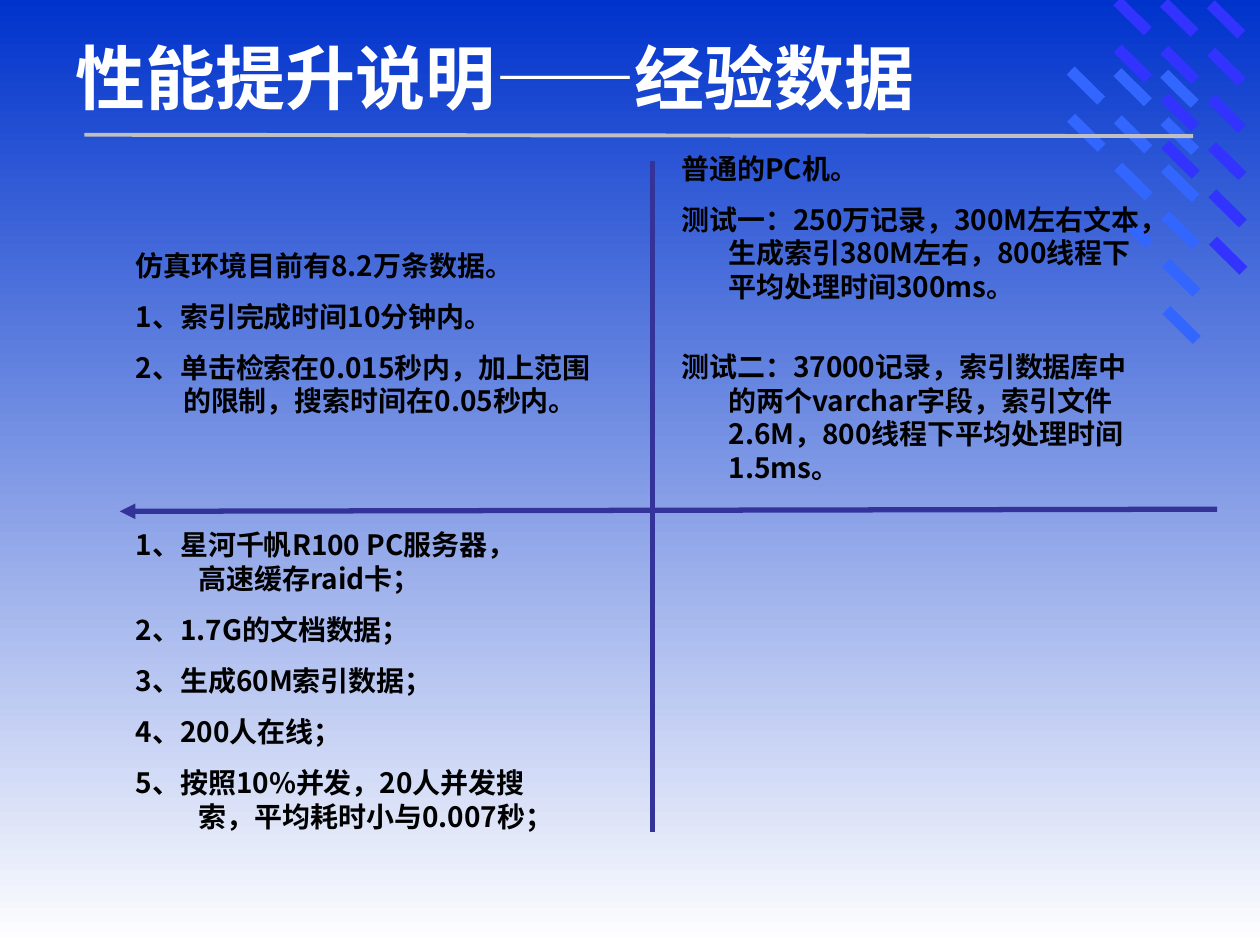
from lxml.etree import SubElement
from pptx import Presentation
from pptx.dml.color import RGBColor
from pptx.enum.shapes import MSO_CONNECTOR, MSO_SHAPE
from pptx.enum.text import MSO_ANCHOR, MSO_AUTO_SIZE, PP_ALIGN
from pptx.oxml.ns import qn
from pptx.util import Pt

BLACK = RGBColor(0, 0, 0)
WHITE = RGBColor(0xFF, 0xFF, 0xFF)
BLUE = RGBColor(0x00, 0x33, 0xCC)
VIOLET = RGBColor(0x33, 0x33, 0xFF)
AZURE = RGBColor(0x33, 0x66, 0xFF)
NAVY = RGBColor(0x33, 0x33, 0x99)
SILVER = RGBColor(0xC0, 0xC0, 0xC0)

SANS = "Noto Sans CJK SC"
SERIF = "Times New Roman"

SIM = [
    "仿真环境目前有8.2万条数据。",
    "1、索引完成时间10分钟内。",
    "2、单击检索在0.015秒内，加上范围的限制，搜索时间在0.05秒内。",
]
SERVER = [
    "1、星河千帆R100 PC服务器，高速缓存raid卡；",
    "2、1.7G的文档数据；",
    "3、生成60M索引数据；",
    "4、200人在线；",
    "5、按照10%并发，20人并发搜索，平均耗时小与0.007秒；",
]
DESKTOP = [
    "普通的PC机。",
    "测试一：250万记录，300M左右文本，生成索引380M左右，800线程下平均处理时间300ms。",
    "测试二：37000记录，索引数据库中的两个varchar字段，索引文件2.6M，800线程下平均处理时间1.5ms。",
]


def set_back(slide):
    fill = slide.background.fill
    fill.gradient()
    fill.gradient_angle = 270
    for stop, color, pos in zip(fill.gradient_stops, (BLUE, WHITE), (0, 1)):
        stop.color.rgb = color
        stop.position = pos


def add_bars(slide, left, top, color):
    """Draw three slightly tilted columns of slanted bars, going leftward."""
    for col, count in enumerate((6, 4, 2)):
        for row in range(count):
            x = left - 26.7 * col + 0.25 * row
            y = top + 27 * row - 0.9 * col
            bar = slide.shapes.add_shape(
                MSO_SHAPE.RECTANGLE, Pt(x), Pt(y), Pt(24.5), Pt(6.5))
            bar.rotation = 44.6
            bar.shadow.inherit = False
            bar.fill.solid()
            bar.fill.fore_color.rgb = color
            bar.line.fill.background()


def set_font(para, name, size, color):
    font = para.font
    font.name, font.size, font.bold = name, Pt(size), True
    font.color.rgb = color
    SubElement(font._element, qn("a:ea")).set("typeface", SANS)


def set_title(slide, text):
    title = slide.shapes.title
    title.left, title.top = Pt(36), Pt(16)
    title.width, title.height = Pt(648), Pt(44)
    frame = title.text_frame
    frame.text = text
    frame.auto_size = MSO_AUTO_SIZE.NONE
    frame.vertical_anchor = MSO_ANCHOR.TOP
    para = frame.paragraphs[0]
    para.alignment = PP_ALIGN.LEFT
    set_font(para, SERIF, 40, WHITE)


def add_text(slide, box, lines, indent, gaps=()):
    """Add hanging paragraphs; gaps overrides the space before by index."""
    frame = slide.shapes.add_textbox(*map(Pt, box)).text_frame
    frame.word_wrap = True
    for i, line in enumerate(lines):
        para = frame.add_paragraph() if i else frame.paragraphs[0]
        para.text = line
        props = para._p.get_or_add_pPr()
        props.set("marL", str(Pt(indent)))
        props.set("indent", str(-Pt(indent)))
        if i:
            para.space_before = Pt(dict(gaps).get(i, 10))
        set_font(para, SANS, 16, BLACK)


def add_line(slide, ends, color, width, arrow=False):
    """Draw a line; arrow puts a triangle on its first end."""
    line = slide.shapes.add_connector(MSO_CONNECTOR.STRAIGHT, *map(Pt, ends))
    line.line.color.rgb = color
    line.line.width = Pt(width)
    if arrow:
        SubElement(line.line._get_or_add_ln(), qn("a:headEnd")).set("type", "triangle")
    SubElement(line._element.spPr, qn("a:effectLst"))


def main():
    prs = Presentation()
    prs.slide_width, prs.slide_height = Pt(720), Pt(540)
    slide = prs.slides.add_slide(prs.slide_layouts[5])
    set_back(slide)
    add_bars(slide, 688.3, 7.9, VIOLET)
    add_bars(slide, 661.7, 47.5, AZURE)
    set_title(slide, "性能提升说明——经验数据")
    add_line(slide, (68.4, 292.2, 695.5, 291), NAVY, 3, arrow=True)
    add_line(slide, (373, 475.2, 373, 92.2), NAVY, 3)
    add_text(slide, (70.6, 138.2, 283.7, 104.4), SIM, 27)
    add_text(slide, (70.6, 298, 244, 201), SERVER, 36)
    add_text(slide, (382.3, 82.8, 278, 197.3), DESKTOP, 27, {2: 26.7})
    add_line(slide, (48.2, 77, 681.8, 77.8), SILVER, 2.25)
    prs.save("out.pptx")


if __name__ == "__main__":
    main()
